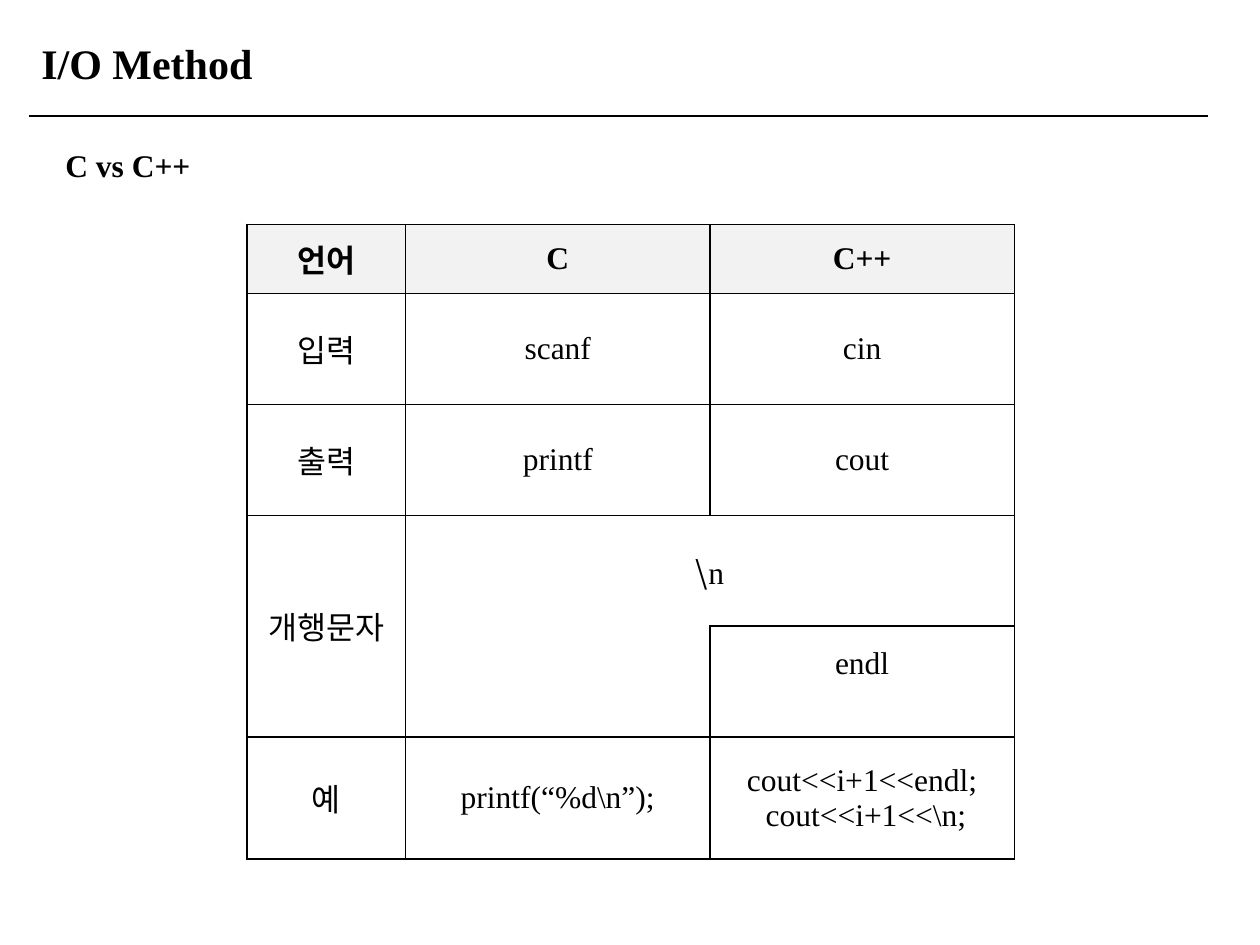
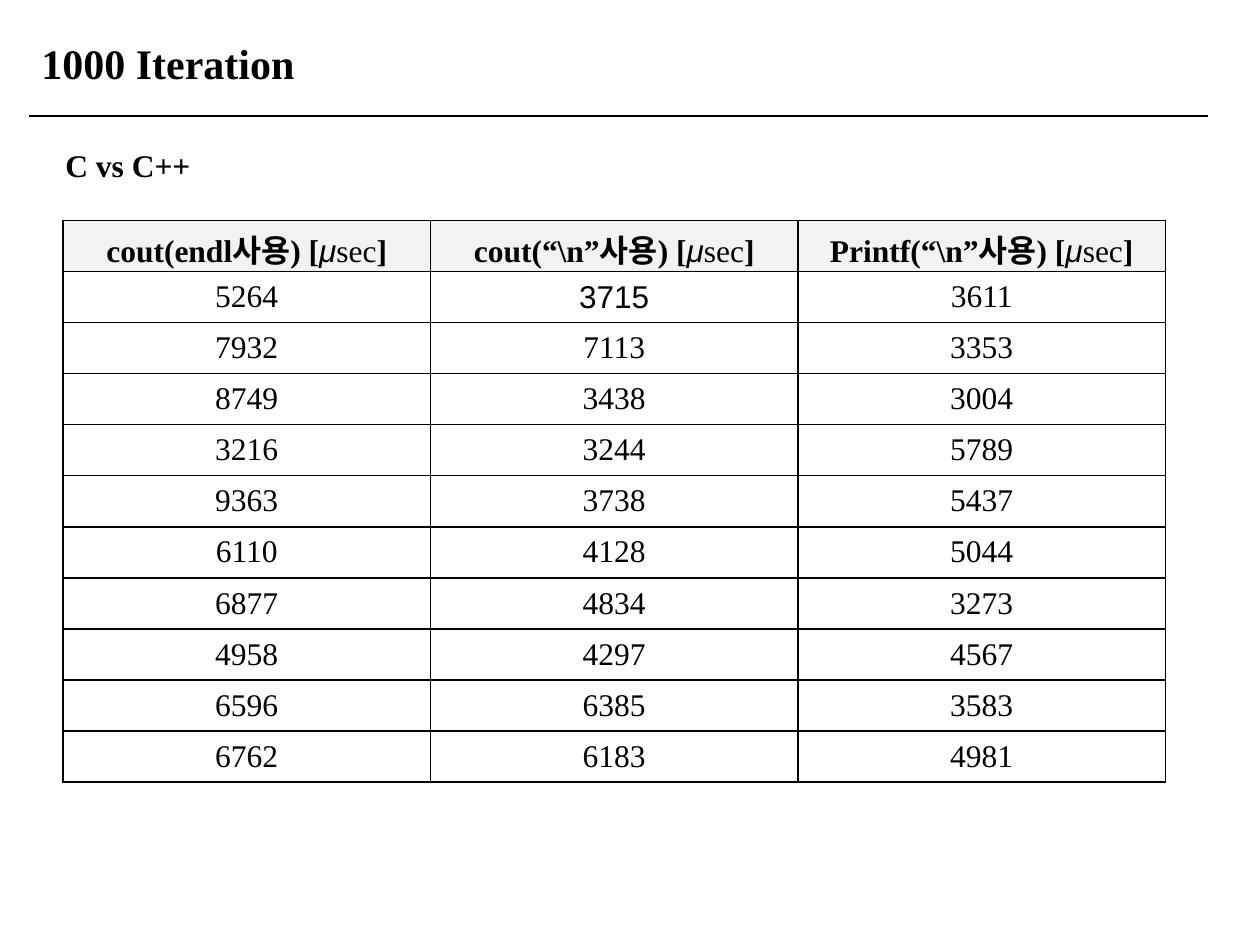
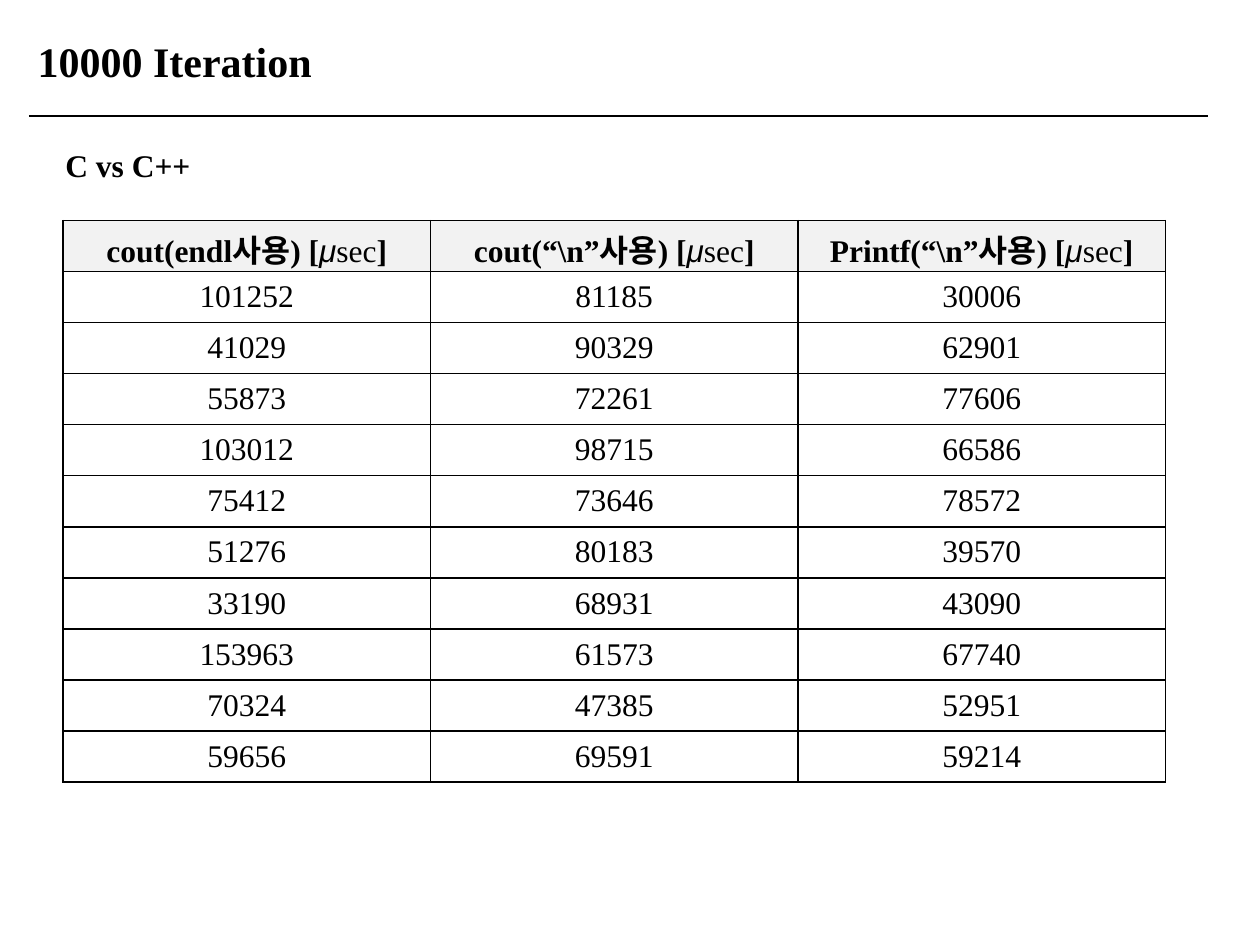
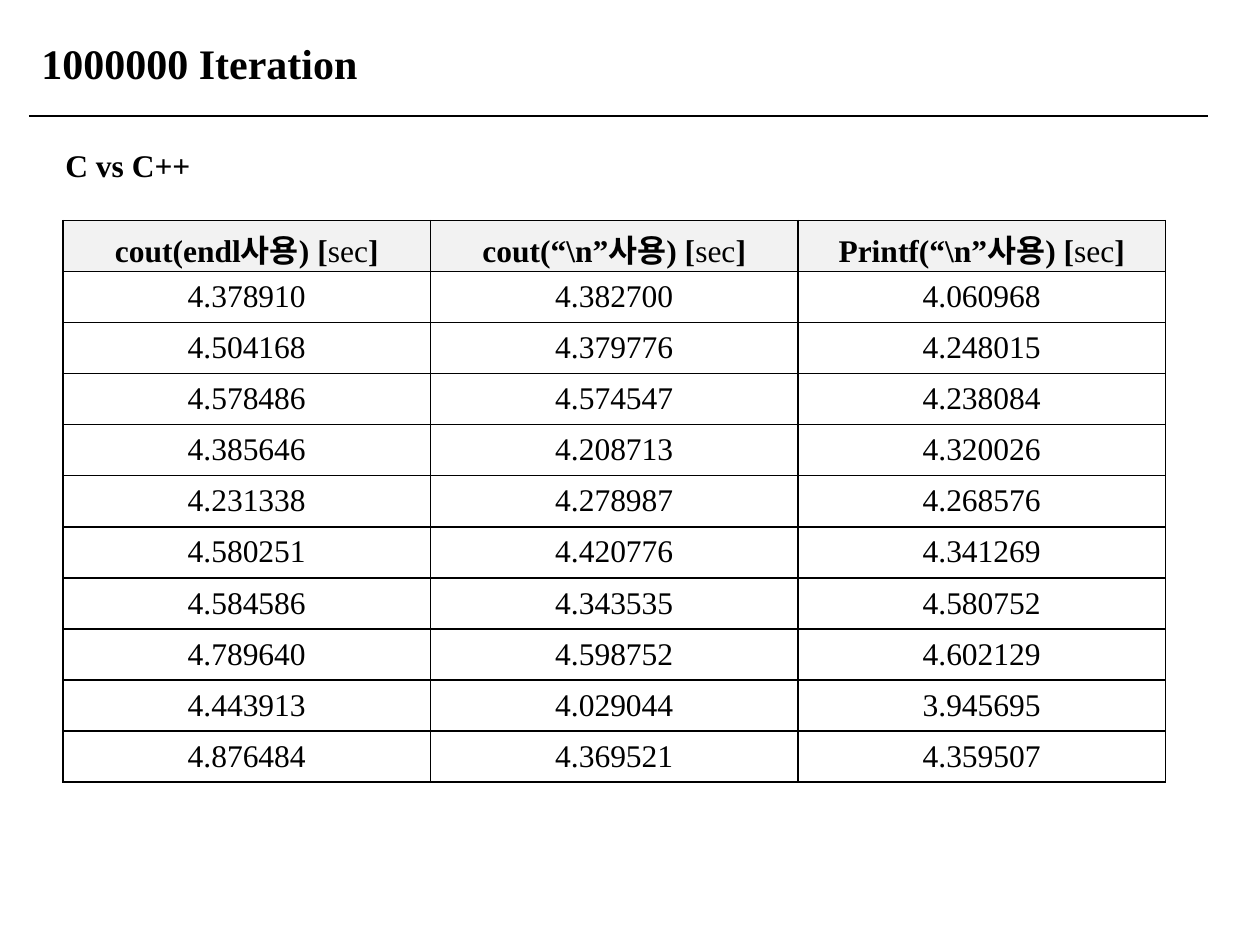
from lxml import etree
from pptx import Presentation, util as u
from pptx.dml import color
from pptx.enum import shapes, text
from pptx.oxml import ns

COLORS = {"ink": "000000", "head": "F2F2F2", "page": "FFFFFF"}
SERIF, SANS, KOREAN = "Times New Roman", "Arial", "Noto Sans CJK KR"
TITLE_BOX = (0.23, 0.25, 9.77, 0.5)
LABEL_BOX = (0.42, 1.05, 9.38, 0.46)
RULE = (0.23, 0.92, 9.59)
CODE_BOX = (1.96, 1.78, 6.09, 5.04)
TIME_BOX = (0.5, 1.75, 8.75, 4.46)

CODE_ROWS = [
    ["언어", "C", "C++"],
    ["입력", "scanf", "cin"],
    ["출력", "printf", "cout"],
    ["개행문자", [("\\", {"font": KOREAN}), "n"], None],
    [None, None, "endl"],
    ["예", "printf(“%d\\n”);", "cout<<i+1<<endl;\n cout<<i+1<<\\n;"],
]

METHODS = ["cout(endl사용) [", "cout(“\\n”사용) [", "Printf(“\\n”사용) ["]
SEC = ("sec", {"bold": False})
MICRO = ("μ", {"font": SANS, "bold": False, "slant": True})

THOUSAND = [
    [5264, 3715, 3611], [7932, 7113, 3353], [8749, 3438, 3004],
    [3216, 3244, 5789], [9363, 3738, 5437], [6110, 4128, 5044],
    [6877, 4834, 3273], [4958, 4297, 4567], [6596, 6385, 3583],
    [6762, 6183, 4981],
]
MYRIAD = [
    [101252, 81185, 30006], [41029, 90329, 62901], [55873, 72261, 77606],
    [103012, 98715, 66586], [75412, 73646, 78572], [51276, 80183, 39570],
    [33190, 68931, 43090], [153963, 61573, 67740], [70324, 47385, 52951],
    [59656, 69591, 59214],
]
MILLION = [
    ["4.378910", "4.382700", "4.060968"], ["4.504168", "4.379776", "4.248015"],
    ["4.578486", "4.574547", "4.238084"], ["4.385646", "4.208713", "4.320026"],
    ["4.231338", "4.278987", "4.268576"], ["4.580251", "4.420776", "4.341269"],
    ["4.584586", "4.343535", "4.580752"], ["4.789640", "4.598752", "4.602129"],
    ["4.443913", "4.029044", "3.945695"], ["4.876484", "4.369521", "4.359507"],
]


def rgb(name):
    return color.RGBColor.from_string(COLORS[name])


def add_run(para, words, size=18, font=SERIF, bold=False, slant=False):
    run = para.add_run()
    run.text = words
    face = run.font
    face.size, face.name = u.Pt(size), font
    face.bold, face.italic = bold, slant
    face.color.rgb = rgb("ink")


def add_label(slide, box, words, size, spacing=None):
    frame = slide.shapes.add_textbox(*map(u.Inches, box)).text_frame
    frame.word_wrap = True
    frame.auto_size = text.MSO_AUTO_SIZE.SHAPE_TO_FIT_TEXT
    para = frame.paragraphs[0]
    para.line_spacing = spacing
    add_run(para, words, size, bold=True)


def add_rule(slide, left, top, right):
    line = slide.shapes.add_connector(
        shapes.MSO_CONNECTOR.STRAIGHT,
        u.Inches(left), u.Inches(top), u.Inches(right), u.Inches(top))
    line.line.color.rgb = rgb("ink")
    line.line.width = u.Pt(0.75)
    etree.SubElement(line.element.spPr, ns.qn("a:effectLst"))


def set_edges(cell, edges="LRTB"):
    props = cell._tc.get_or_add_tcPr()
    for side in "LRTB":
        line = etree.SubElement(props, ns.qn(f"a:ln{side}"), w=str(u.Pt(1)))
        if side in edges:
            fill = etree.SubElement(line, ns.qn("a:solidFill"))
            etree.SubElement(fill, ns.qn("a:srgbClr"), val=COLORS["ink"])
        else:
            etree.SubElement(line, ns.qn("a:noFill"))


def fill_cell(cell, value, bold):
    cell.vertical_anchor = text.MSO_ANCHOR.MIDDLE
    if value is None:
        return
    parts = value if isinstance(value, list) else [value]
    para = cell.text_frame.paragraphs[0]
    para.alignment = text.PP_ALIGN.CENTER
    for part in parts:
        words, style = part if isinstance(part, tuple) else (str(part), {})
        for num, line in enumerate(words.split("\n")):
            if num:
                para = cell.text_frame.add_paragraph()
                para.alignment = text.PP_ALIGN.CENTER
            add_run(para, line, **{"bold": bold, **style})


def add_grid(slide, box, rows, widths, heights, edges={}):
    frame = slide.shapes.add_table(
        len(rows), len(widths), *map(u.Inches, box))
    table = frame.table
    table.first_row = table.horz_banding = False
    for col, width in zip(table.columns, widths):
        col.width = u.Inches(width)
    for row, height in zip(table.rows, heights):
        row.height = u.Inches(height)
    for r, row in enumerate(rows):
        for c, value in enumerate(row):
            cell = table.cell(r, c)
            set_edges(cell, edges.get((r, c), "LRTB"))
            cell.fill.solid()
            cell.fill.fore_color.rgb = rgb("page" if r else "head")
            fill_cell(cell, value, bold=not r)
    return table


def add_page(deck, title, box=TITLE_BOX):
    slide = deck.slides.add_slide(deck.slide_layouts[6])
    add_label(slide, box, title, 24)
    add_label(slide, LABEL_BOX, "C vs C++", 18, 1.2)
    add_rule(slide, *RULE)
    return slide


def code_page(deck, box):
    slide = add_page(deck, "I/O Method")
    first = 1.26
    wide = (box[2] - first) / 2
    table = add_grid(
        slide, box, CODE_ROWS, [first, wide, wide],
        [0.55] + [0.88] * 4 + [0.97],
        {(3, 1): "LTR", (3, 2): "TRB", (4, 1): "LRB"})
    table.cell(3, 0).merge(table.cell(4, 0))
    table.cell(3, 1).merge(table.cell(3, 2))
    table.cell(4, 2).margin_bottom = u.Inches(0.33)


def time_page(deck, box, title, unit, data, spot=TITLE_BOX):
    slide = add_page(deck, title, spot)
    heads = [[name, *unit, "]"] for name in METHODS]
    rows = [heads] + data
    table = add_grid(
        slide, box, rows, [box[2] / 3] * 3, [box[3] / len(rows)] * len(rows))
    for r in range(len(rows)):
        for c in range(3):
            cell = table.cell(r, c)
            cell.margin_top = u.Inches(0.01 if r else 0.04)
            cell.margin_bottom = u.Inches(0.01 if r else 0)
    return table


def main():
    deck = Presentation()
    deck.slide_width, deck.slide_height = u.Inches(10), u.Inches(7.5)
    code_page(deck, CODE_BOX)
    table = time_page(deck, TIME_BOX, "1000 Iteration", [MICRO, SEC], THOUSAND)
    table.cell(1, 1).text_frame.paragraphs[0].runs[0].font.name = SANS
    time_page(deck, TIME_BOX, "10000 Iteration", [MICRO, SEC], MYRIAD,
              (0.2, 0.23, 9.77, 0.5))
    time_page(deck, TIME_BOX, "1000000 Iteration", [SEC], MILLION)
    deck.save("out.pptx")


if __name__ == "__main__":
    main()
